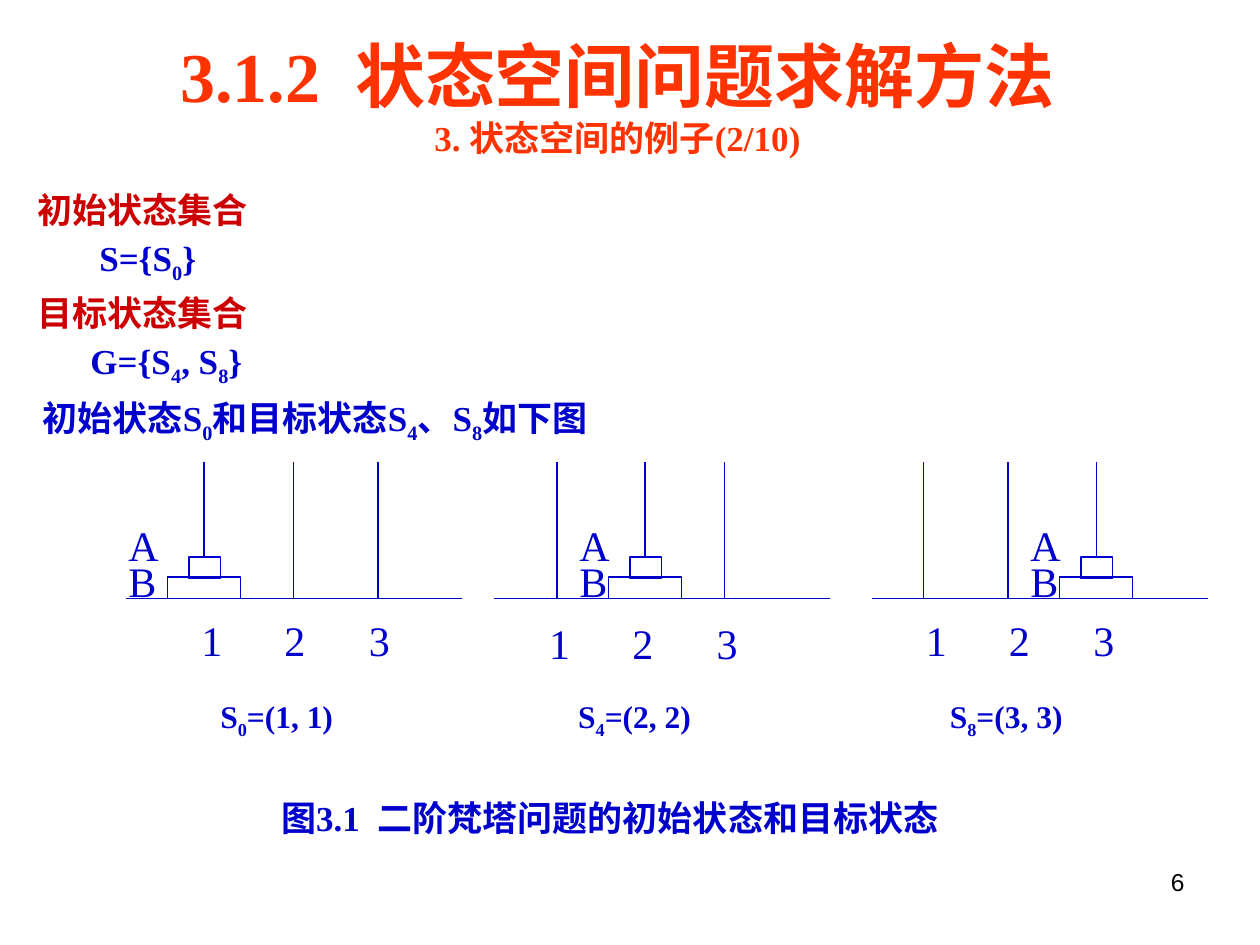
import pptx
import pptx.util
import pptx.dml.color
import pptx.enum.shapes
import pptx.enum.text
import pptx.oxml.ns
import lxml.etree

Inches = pptx.util.Inches
Pt = pptx.util.Pt
Align = pptx.enum.text.PP_ALIGN
COLOURS = {"blue": "0000CC", "red": "CC0000", "orange": "FF3300", "black": "000000"}
SERIF = "Times New Roman"


def colour(name):
    return pptx.dml.color.RGBColor.from_string(COLOURS[name])


def add_child(parent, tag, **attributes):
    return lxml.etree.SubElement(parent, pptx.oxml.ns.qn(tag), **attributes)


def add_box(page, left, top, width, height):
    box = page.shapes.add_textbox(Inches(left), Inches(top), Inches(width), Inches(height))
    box.text_frame.word_wrap = True
    return box.text_frame


def add_para(frame, spans, size, ink="blue", bold=True, font=SERIF, align=Align.LEFT,
             before=0, after=0, line=1.0, indent=0, tabs=()):
    para = frame.paragraphs[0]
    if para.runs:
        para = frame.add_paragraph()
    para.alignment = align
    para.space_before, para.space_after = Pt(before), Pt(after)
    para.line_spacing = line
    properties = para._p.get_or_add_pPr()
    if indent:
        properties.set("marL", str(Inches(indent)))
        properties.set("indent", "0")
    if tabs:
        stops = add_child(properties, "a:tabLst")
        for stop in tabs:
            add_child(stops, "a:tab", pos=str(Inches(stop)), algn="l")
    for text, extra in spans:
        span = para.add_run()
        span.text = text
        span.font.name = font
        span.font.size = Pt(extra.get("size", size))
        span.font.bold = bold
        span.font.color.rgb = colour(ink)
        for key in ("baseline", "spc"):
            if key in extra:
                span.font._element.set(key, str(extra[key]))


def plain(text):
    return [(text, {})]


def with_subscripts(*parts):
    return [(text, {"baseline": -25000} if i % 2 else {}) for i, text in enumerate(parts)]


def with_gap(number, text, size):
    return [(number, {}), (" ", {"spc": size * 25}), (text, {})]


def add_line(page, x1, y1, x2, y2):
    line = page.shapes.add_connector(pptx.enum.shapes.MSO_CONNECTOR.STRAIGHT,
                                     Inches(x1), Inches(y1), Inches(x2), Inches(y2))
    line.line.color.rgb = colour("blue")
    line.line.width = Pt(0.74)
    add_child(line._element.spPr, "a:effectLst")


def add_disk(page, left, top, width, height):
    disk = page.shapes.add_shape(pptx.enum.shapes.MSO_SHAPE.RECTANGLE,
                                 Inches(left), Inches(top), Inches(width), Inches(height))
    disk.shadow.inherit = False
    disk.fill.background()
    disk.line.color.rgb = colour("blue")
    disk.line.width = Pt(0.74)


def add_title(page, left, top, width, height):
    frame = add_box(page, left, top, width, height)
    add_para(frame, with_gap("3.1.2", "状态空间问题求解方法", 40), 40, "orange", align=Align.CENTER)
    add_para(frame, plain("3. 状态空间的例子(2/10)"), 20, "orange", align=Align.CENTER)


def add_state_sets(page, left, top, width, height):
    frame = add_box(page, left, top, width, height)
    rows = [
        (plain("初始状态集合"), "red", 0),
        (with_subscripts("S={S", "0", "}"), "blue", 0.49),
        (plain("目标状态集合"), "red", 0),
        (with_subscripts("G={S", "4", ", S", "8", "}"), "blue", 0.42),
    ]
    for spans, ink, indent in rows:
        add_para(frame, spans, 20, ink, before=1.2, after=1.2, line=1.05, indent=indent)


def add_lead_in(page, left, top, width, height):
    spans = with_subscripts("初始状态S", "0", "和目标状态S", "4", "、S", "8", "如下图")
    add_para(add_box(page, left, top, width, height), spans + [(" ", {"size": 24})], 20, before=15)


def add_tower(page, left, top, pegs, loaded, letters_x, numbers_x, numbers_y, state_x, state):
    ground = top + 1.08
    add_line(page, left, ground, left + 2.67, ground)
    for i, offset in enumerate(pegs):
        foot = top + 0.75 if i == loaded else ground
        add_line(page, left + offset, foot, left + offset, top)
    centre = left + pegs[loaded]
    add_disk(page, centre - 0.29, ground - 0.17, 0.58, 0.17)
    add_disk(page, centre - 0.12, ground - 0.33, 0.25, 0.17)

    letters = add_box(page, left + letters_x, top + 0.58, 0.42, 0.59)
    for letter in "AB":
        add_para(letters, plain(letter), 24, bold=False, before=6, line=0.5)

    numbers = add_box(page, left + numbers_x, top + numbers_y, 2.17, 0.5)
    add_para(numbers, plain("\t1\t2\t3"), 24, bold=False, before=15, tabs=(0.17, 0.83, 1.5))

    label = add_box(page, left + state_x, top + 1.81, 1.3, 0.44)
    peg = loaded + 1
    add_para(label, with_subscripts("S", state, f"=({peg}, {peg})"), 18, before=11.2)


def add_caption(page, left, top, width, height):
    spans = with_gap("图3.1", "二阶梵塔问题的初始状态和目标状态", 20)
    add_para(add_box(page, left, top, width, height), spans, 20, align=Align.CENTER, before=12.5)


def add_page_number(page, left, top, width, height):
    add_para(add_box(page, left, top, width, height), plain("6"), 14, "black",
             bold=False, font="Arial", align=Align.RIGHT)


deck = pptx.Presentation()
deck.slide_width, deck.slide_height = Inches(10), Inches(7.5)
page = deck.slides.add_slide(deck.slide_layouts[6])

towers = [
    (1, (0.62, 1.33, 2), 0, -0.08, 0.33, 1.16, 0.65, "0"),
    (3.92, (0.5, 1.2, 1.83), 1, 0.58, 0.17, 1.18, 0.57, "4"),
    (6.92, (0.41, 1.08, 1.78), 2, 1.16, 0.16, 1.16, 0.52, "8"),
]
for tower_left, *details in towers:
    add_tower(page, tower_left, 3.67, *details)
add_caption(page, 1.65, 6.27, 6.38, 0.44)
add_state_sets(page, 0.2, 1.43, 9.57, 1.7)
add_lead_in(page, 0.24, 3.04, 9.57, 0.54)
add_title(page, 0.51, 0.21, 8.78, 1.1)
add_page_number(page, 7.17, 6.83, 2.33, 0.52)

deck.save("out.pptx")
